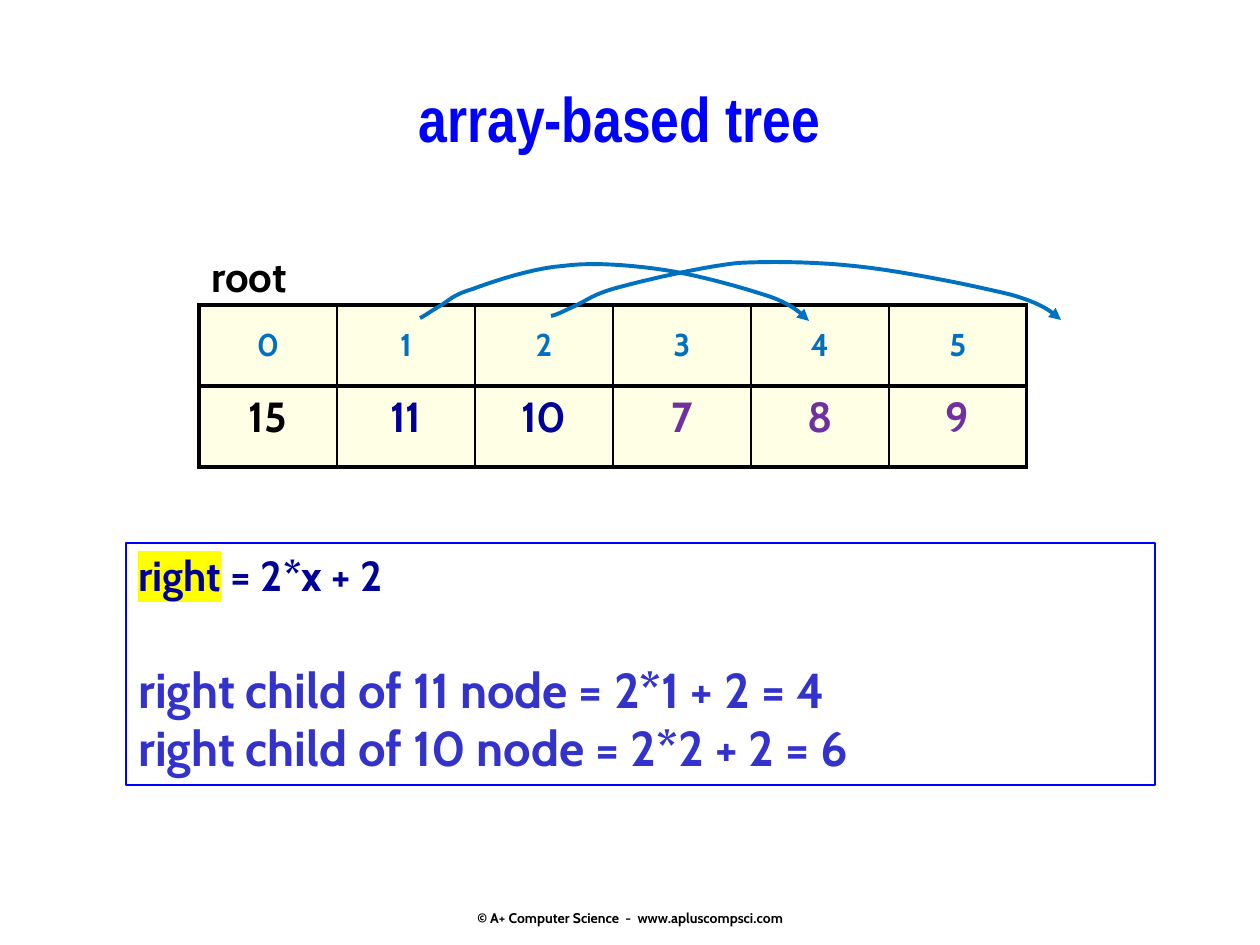
from dataclasses import dataclass

from lxml import etree
from pptx import Presentation
from pptx.dml.color import RGBColor
from pptx.enum.shapes import MSO_SHAPE
from pptx.enum.text import MSO_ANCHOR, MSO_AUTO_SIZE, PP_ALIGN
from pptx.oxml.ns import qn
from pptx.util import Emu, Pt

RECTANGLE = MSO_SHAPE.RECTANGLE
TOP, MIDDLE, BOTTOM = MSO_ANCHOR.TOP, MSO_ANCHOR.MIDDLE, MSO_ANCHOR.BOTTOM
LEFT, CENTER = PP_ALIGN.LEFT, PP_ALIGN.CENTER
NO_AUTOFIT = MSO_AUTO_SIZE.NONE
PX_PER_INCH = 126
CURVE_STEPS = 10


@dataclass(frozen=True)
class Theme:
    title_font: str = "Arial Narrow"
    body_font: str = "Cabin"
    black: str = "000000"
    blue: str = "0000FF"
    navy: str = "000099"
    indigo: str = "3333CC"
    sky: str = "0070C0"
    purple: str = "7030A0"
    cream: str = "FFFFCC"
    yellow: str = "FFFF00"
    title_size: int = 36
    large: int = 28
    medium: int = 24
    small: int = 18
    footer: int = 8
    thin: float = 0.75
    inner: float = 1
    thick: float = 2.25


THEME = Theme()


def px(length):
    return Emu(round(length * 914400 / PX_PER_INCH))


def add_element(parent, tag, **attributes):
    return etree.SubElement(parent, qn(tag), attributes)


def set_values(target, values):
    for name, value in values.items():
        setattr(target, name, value)


def write_run(paragraph, text, size, color, font=THEME.body_font, highlight=None):
    run = paragraph.add_run()
    run.text = text
    set_values(run.font, {"size": Pt(size), "bold": True, "name": font})
    run.font.color.rgb = RGBColor.from_string(color)
    if highlight:
        mark = etree.Element(qn("a:highlight"))
        add_element(mark, "a:srgbClr", val=highlight)
        run.font._element.find(qn("a:latin")).addprevious(mark)


def format_frame(frame, anchor=TOP, wrap=True, align=LEFT):
    set_values(frame, {"word_wrap": wrap, "auto_size": NO_AUTOFIT, "vertical_anchor": anchor})
    paragraph = frame.paragraphs[0]
    paragraph.alignment = align
    return paragraph


def add_label(slide, box, text, size, **layout):
    frame = slide.shapes.add_textbox(*map(px, box)).text_frame
    write_run(format_frame(frame, **layout), text, size, THEME.black)
    return frame


def add_title(slide, box, text):
    title = slide.shapes.title
    set_values(title, dict(zip(("left", "top", "width", "height"), map(px, box))))
    paragraph = format_frame(title.text_frame, wrap=False, align=CENTER)
    write_run(paragraph, text, THEME.title_size, THEME.blue, THEME.title_font)


def add_formula_box(slide, box):
    shape = slide.shapes.add_shape(RECTANGLE, *map(px, box))
    shape.shadow.inherit = False
    shape.fill.background()
    shape.line.color.rgb = RGBColor.from_string(THEME.blue)
    shape.line.width = Pt(THEME.thin)

    rule = format_frame(shape.text_frame)
    write_run(rule, "right", THEME.medium, THEME.navy, highlight=THEME.yellow)
    write_run(rule, " = 2*x + 2", THEME.medium, THEME.navy)
    examples = (("right child of 11 node = 2*1 + 2 = 4", 34),
                ("right child of 10 node = 2*2 + 2 = 6", 0))
    for text, gap in examples:
        paragraph = shape.text_frame.add_paragraph()
        set_values(paragraph, {"alignment": LEFT, "space_before": Pt(gap)})
        write_run(paragraph, text, THEME.large, THEME.indigo)


def format_cell(cell, column, last_column):
    cell.fill.solid()
    cell.fill.fore_color.rgb = RGBColor.from_string(THEME.cream)
    properties = cell._tc.get_or_add_tcPr()
    add_element(properties.find(".//" + qn("a:srgbClr")), "a:alpha", val="50000")
    widths = {
        "a:lnL": THEME.thick if column == 0 else THEME.inner,
        "a:lnR": THEME.thick if column == last_column else THEME.inner,
        "a:lnT": THEME.thick,
        "a:lnB": THEME.thick,
    }
    for index, (tag, width) in enumerate(widths.items()):
        border = etree.Element(qn(tag), w=str(Pt(width)))
        add_element(add_element(border, "a:solidFill"), "a:srgbClr", val=THEME.black)
        properties.insert(index, border)


def add_array_table(slide, left, top, column_width, row_height, rows):
    columns = len(rows[0][0])
    table = slide.shapes.add_table(
        len(rows), columns, px(left), px(top),
        px(column_width * columns), px(row_height * len(rows))).table
    set_values(table, {"first_row": False, "horz_banding": False})
    for row, (values, colors, size, anchor) in enumerate(rows):
        for column, (value, color) in enumerate(zip(values, colors)):
            cell = table.cell(row, column)
            cell.vertical_anchor = anchor
            paragraph = cell.text_frame.paragraphs[0]
            paragraph.alignment = CENTER
            write_run(paragraph, str(value), size, color)
            format_cell(cell, column, columns - 1)


def curve_points(points):
    """Sample joined cubic curves: a start, then three points per curve."""
    for first in range(0, len(points) - 1, 3):
        start, control_1, control_2, end = points[first:first + 4]
        for step in range(1, CURVE_STEPS + 1):
            t = step / CURVE_STEPS
            weights = ((1 - t) ** 3, 3 * t * (1 - t) ** 2, 3 * t * t * (1 - t), t ** 3)
            yield tuple(
                px(sum(weight * value for weight, value in zip(weights, axis)))
                for axis in zip(start, control_1, control_2, end))


def add_curved_arrow(slide, points):
    builder = slide.shapes.build_freeform(*map(px, points[0]))
    builder.add_line_segments(curve_points(points), close=False)
    arrow = builder.convert_to_shape()
    arrow.shadow.inherit = False
    arrow.fill.background()
    arrow.line.color.rgb = RGBColor.from_string(THEME.sky)
    arrow.line.width = Pt(THEME.thick)
    add_element(arrow.line._get_or_add_ln(), "a:tailEnd", type="triangle")


def main():
    presentation = Presentation()
    presentation.slide_width, presentation.slide_height = px(1260), px(945)
    slide = presentation.slides.add_slide(presentation.slide_layouts[5])

    # Title and formulas
    add_title(slide, (189, 73, 861, 116), "array-based tree")
    add_formula_box(slide, (126, 543, 1029, 242))

    # Array: indexes above values, coloured by tree level
    add_label(slide, (199, 244, 199, 63), "root", THEME.medium)
    level_colors = [THEME.black] + [THEME.navy] * 2 + [THEME.purple] * 3
    add_array_table(slide, 199, 305, 138, 81, (
        (range(6), [THEME.sky] * 6, THEME.small, MIDDLE),
        ((15, 11, 10, 7, 8, 9), level_colors, THEME.medium, TOP),
    ))

    # Arrows from each parent to its right child
    add_curved_arrow(slide, [
        (420, 318), (425, 316), (431, 311), (440, 306), (449, 301), (452, 295), (473, 289),
        (494, 281), (534, 268), (563, 266), (592, 262), (630, 265), (664, 270),
        (699, 275), (747, 289), (771, 297), (795, 306), (801, 314), (809, 321)])
    add_curved_arrow(slide, [
        (551, 316), (557, 315), (566, 310), (577, 305), (588, 300), (593, 294), (620, 287),
        (646, 280), (701, 267), (738, 263), (776, 261), (825, 262), (871, 268),
        (917, 274), (980, 287), (1012, 295), (1043, 304), (1052, 312), (1061, 320)])

    # Footer
    footer = add_label(slide, (431, 863, 399, 63), "© A+ Computer Science  -  www.apluscompsci.com",
                       THEME.footer, anchor=BOTTOM, wrap=False, align=CENTER)
    footer.margin_bottom = 0

    presentation.save("out.pptx")


if __name__ == "__main__":
    main()
